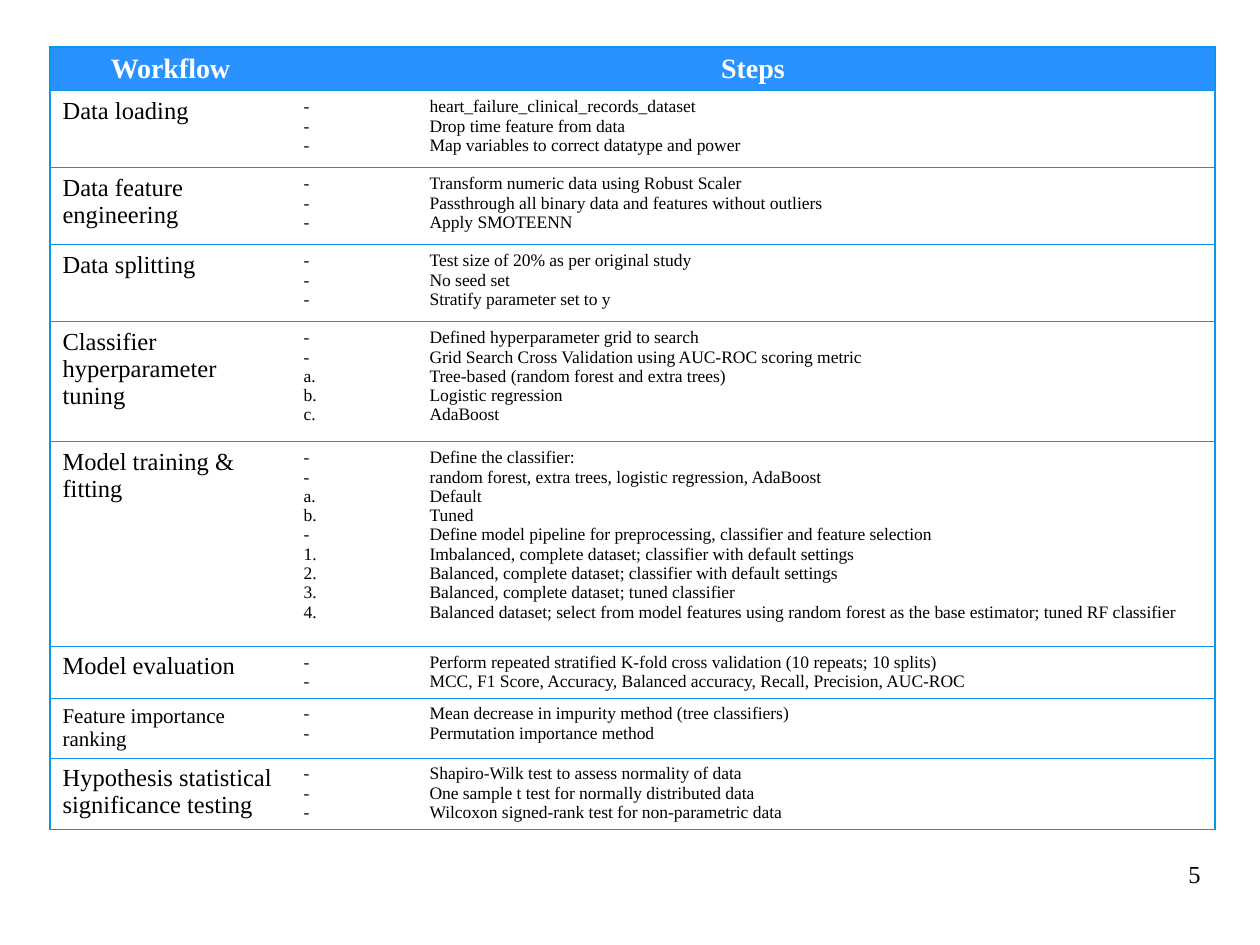
from lxml import etree
from pptx import Presentation
from pptx.dml.color import RGBColor
from pptx.enum.text import MSO_ANCHOR, PP_ALIGN
from pptx.oxml.ns import qn
from pptx.util import Pt

PX = 914400 // 126
FONT = "Times New Roman"
BLACK = RGBColor(0x00, 0x00, 0x00)
WHITE = RGBColor(0xFF, 0xFF, 0xFF)
HEADER_BLUE = RGBColor(0x2A, 0x92, 0xFF)
BORDER_BLUE = RGBColor(0x0C, 0x95, 0xEB)
LEFT, CENTER, RIGHT = PP_ALIGN.LEFT, PP_ALIGN.CENTER, PP_ALIGN.RIGHT
MIDDLE = MSO_ANCHOR.MIDDLE

HEADINGS = ("Workflow", "Steps")
HEADER_HEIGHT = 44
COLUMN_WIDTHS = (241, 924)
STEP_TAB = 126
WORKFLOW = [
    ("Data loading", 14, 77, [
        "-\theart_failure_clinical_records_dataset",
        "-\tDrop time feature from data",
        "-\tMap variables to correct datatype and power"]),
    ("Data feature engineering", 14, 77, [
        "-\tTransform numeric data using Robust Scaler",
        "-\tPassthrough all binary data and features without outliers",
        "-\tApply SMOTEENN"]),
    ("Data splitting", 14, 77, [
        "-\tTest size of 20% as per original study",
        "-\tNo seed set",
        "-\tStratify parameter set to y"]),
    ("Classifier hyperparameter tuning", 14, 120, [
        "-\tDefined hyperparameter grid to search",
        "-\tGrid Search Cross Validation using AUC-ROC scoring metric",
        "a.\tTree-based (random forest and extra trees)",
        "b.\tLogistic regression",
        "c.\tAdaBoost"]),
    ("Model training & fitting", 14, 205, [
        "-\tDefine the classifier:",
        "-\trandom forest, extra trees, logistic regression, AdaBoost",
        "a.\tDefault",
        "b.\tTuned",
        "-\tDefine model pipeline for preprocessing, classifier and feature selection",
        "1.\tImbalanced, complete dataset; classifier with default settings",
        "2.\tBalanced, complete dataset; classifier with default settings",
        "3.\tBalanced, complete dataset; tuned classifier",
        "4.\tBalanced dataset; select from model features using random forest "
        "as the base estimator; tuned RF classifier"]),
    ("Model evaluation", 14, 51, [
        "-\tPerform repeated stratified K-fold cross validation (10 repeats; 10 splits)",
        "-\tMCC, F1 Score, Accuracy, Balanced accuracy, Recall, Precision, AUC-ROC"]),
    ("Feature importance ranking", 12, 60, [
        "-\tMean decrease in impurity method (tree classifiers)",
        "-\tPermutation importance method"]),
    ("Hypothesis statistical significance testing", 14, 71, [
        "-\tShapiro-Wilk test to assess normality of data",
        "-\tOne sample t test for normally distributed data",
        "-\tWilcoxon signed-rank test for non-parametric data"]),
]


def write(frame, text, size=10, color=BLACK, bold=False, align=LEFT, tab=None):
    frame.word_wrap = True
    frame.text = text
    for paragraph in frame.paragraphs:
        paragraph.alignment = align
        if tab is not None:
            stops = etree.SubElement(paragraph._p.get_or_add_pPr(), qn("a:tabLst"))
            etree.SubElement(stops, qn("a:tab"), pos=str(tab * PX), algn="l")
        for run in paragraph.runs:
            font = run.font
            font.name, font.size, font.bold = FONT, Pt(size), bold
            font.color.rgb = color


class SlideBuilder:
    def __init__(self, slide):
        self.slide = slide

    def text(self, box, text, anchor=MIDDLE, **style):
        frame = self.slide.shapes.add_textbox(*(v * PX for v in box)).text_frame
        write(frame, text, **style)
        frame.vertical_anchor = anchor

    def table(self, left, top, widths, heights):
        table = self.slide.shapes.add_table(
            len(heights), len(widths), left * PX, top * PX,
            sum(widths) * PX, sum(heights) * PX).table
        table.horz_banding = False
        for column, width in zip(table.columns, widths):
            column.width = width * PX
        for row, height in zip(table.rows, heights):
            row.height = height * PX
        return table

    def cell(self, cell, text, blank_side, fill=None, **style):
        write(cell.text_frame, text, **style)
        properties = cell._tc.get_or_add_tcPr()
        for side in ("lnL", "lnR", "lnT", "lnB"):
            line = etree.SubElement(properties, qn("a:" + side), w=str(Pt(0.75)))
            if side == blank_side:
                etree.SubElement(line, qn("a:noFill"))
            else:
                solid = etree.SubElement(line, qn("a:solidFill"))
                etree.SubElement(solid, qn("a:srgbClr"), val=str(BORDER_BLUE))
        if fill is None:
            cell.fill.background()
        else:
            cell.fill.solid()
            cell.fill.fore_color.rgb = fill


def main():
    deck = Presentation()
    deck.slide_width, deck.slide_height = 1260 * PX, 945 * PX
    builder = SlideBuilder(deck.slides.add_slide(deck.slide_layouts[6]))

    heights = [HEADER_HEIGHT] + [height for _, _, height, _ in WORKFLOW]
    table = builder.table(50, 47, COLUMN_WIDTHS, heights)
    for column, (heading, blank_side) in enumerate(zip(HEADINGS, ("lnR", "lnL"))):
        builder.cell(table.cell(0, column), heading, blank_side, fill=HEADER_BLUE,
                     size=16, color=WHITE, bold=True, align=CENTER)
    for row, (stage, size, _, steps) in enumerate(WORKFLOW, start=1):
        builder.cell(table.cell(row, 0), stage, "lnR", size=size)
        builder.cell(table.cell(row, 1), "\n".join(steps), "lnL", tab=STEP_TAB)

    builder.text((1120, 849, 93, 50), "5", size=14, align=RIGHT)
    deck.save("out.pptx")


if __name__ == "__main__":
    main()
